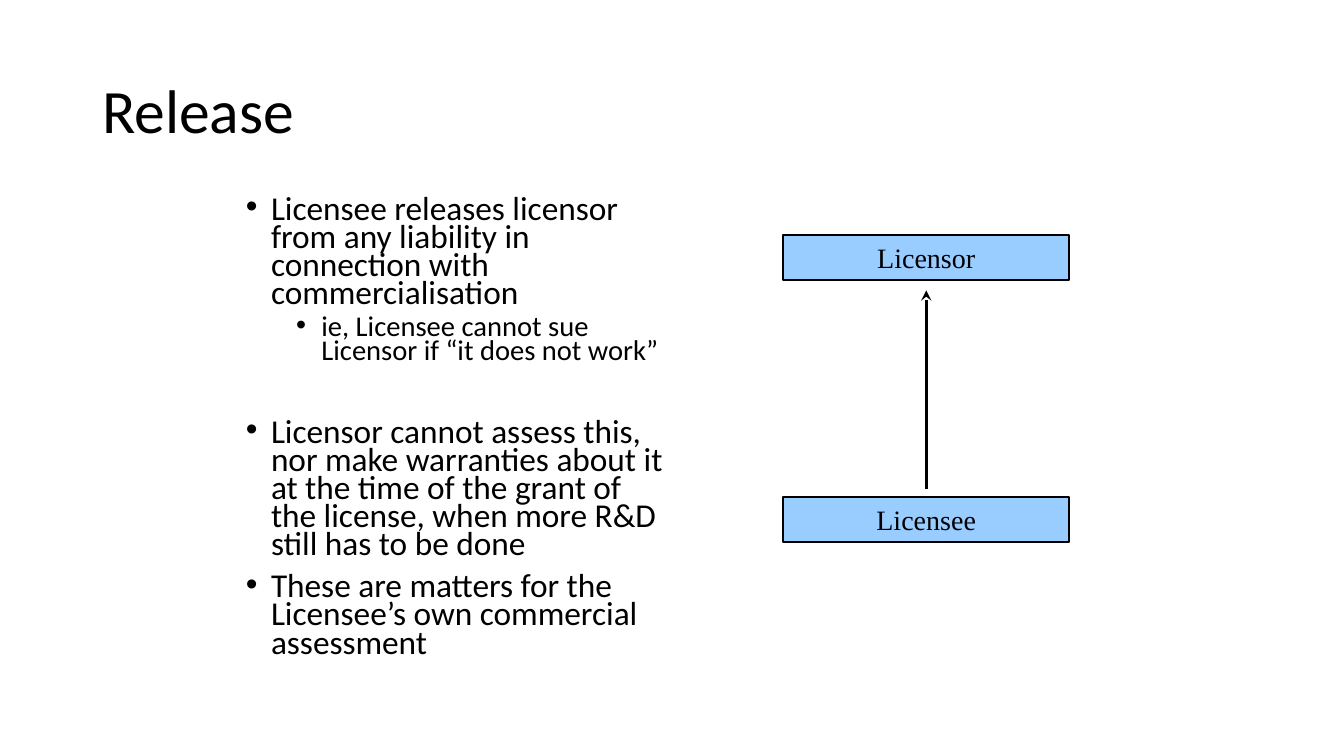
from lxml import etree
from pptx import Presentation
from pptx.dml.color import RGBColor
from pptx.enum.shapes import MSO_CONNECTOR, MSO_SHAPE
from pptx.enum.text import MSO_ANCHOR, PP_ALIGN
from pptx.oxml.ns import qn
from pptx.util import Pt

RECTANGLE = MSO_SHAPE.RECTANGLE
STRAIGHT = MSO_CONNECTOR.STRAIGHT
TOP, MIDDLE = MSO_ANCHOR.TOP, MSO_ANCHOR.MIDDLE
LEFT, CENTER = PP_ALIGN.LEFT, PP_ALIGN.CENTER

COLORS = {"ink": "000000", "party": "99CCFF"}
BODY_FONT, PARTY_FONT = "Calibri", "Times New Roman"

# Text, size, left margin, space before
BULLETS = [
    ("Licensee releases licensor from any liability in connection with "
     "commercialisation", 23.8, 18, 0),
    ("ie, Licensee cannot sue Licensor if “it does not work”", 20.4, 54, 5),
    ("Licensor cannot assess this, nor make warranties about it at the time "
     "of the grant of the license, when more R&D still has to be done",
     23.8, 18, 40),
    ("These are matters for the Licensee’s own commercial assessment",
     23.8, 18, 10),
]
BULLET_HANG = 18

PARTY_LEFT, PARTY_WIDTH, PARTY_HEIGHT = 559.4, 204.5, 32.4
PARTY_TOPS = {"Licensor": 167.8, "Licensee": 355}
ARROW_GAP_TOP, ARROW_GAP_BOTTOM = 7.2, 5.8


def color(name):
    return RGBColor.from_string(COLORS[name])


def write(para, text, size, font=BODY_FONT, align=LEFT, spacing=1.0,
          before=0, margin=None):
    """Fill a paragraph; a margin makes it a bullet with a hanging indent."""
    para.alignment = align
    para.line_spacing = spacing
    para.space_before = Pt(before)
    if margin is not None:
        properties = para._p.get_or_add_pPr()
        properties.set("marL", str(Pt(margin)))
        properties.set("indent", str(-Pt(BULLET_HANG)))
        typeface = etree.SubElement(properties, qn("a:buFont"))
        typeface.set("typeface", "Arial")
        etree.SubElement(properties, qn("a:buChar")).set("char", "•")
    span = para.add_run()
    span.text = text
    span.font.size = Pt(size)
    span.font.name = font
    span.font.color.rgb = color("ink")


class SlideBuilder:
    def __init__(self, page):
        self.shapes = page.shapes

    def text_box(self, left, top, width, height, anchor=TOP):
        box = self.shapes.add_textbox(Pt(left), Pt(top), Pt(width), Pt(height))
        box.text_frame.word_wrap = True
        box.text_frame.vertical_anchor = anchor
        return box.text_frame

    def title(self, text):
        frame = self.text_box(66, 28.8, 828, 104.4, MIDDLE)
        write(frame.paragraphs[0], text, 44, spacing=0.9)

    def bullets(self, items):
        frame = self.text_box(168.5, 138.2, 317.5, 358.6)
        for index, (text, size, margin, before) in enumerate(items):
            para = frame.add_paragraph() if index else frame.paragraphs[0]
            write(para, text, size, spacing=0.7, before=before, margin=margin)

    def party(self, name, top):
        box = self.shapes.add_shape(RECTANGLE, Pt(PARTY_LEFT), Pt(top),
                                    Pt(PARTY_WIDTH), Pt(PARTY_HEIGHT))
        box.shadow.inherit = False
        box.fill.solid()
        box.fill.fore_color.rgb = color("party")
        box.line.color.rgb = color("ink")
        box.line.width = Pt(1.5)
        box.text_frame.word_wrap = True
        box.text_frame.vertical_anchor = MIDDLE
        write(box.text_frame.paragraphs[0], name, 20, font=PARTY_FONT,
              align=CENTER)

    def arrow(self, x, start, end):
        arrow = self.shapes.add_connector(STRAIGHT, Pt(x), Pt(start),
                                          Pt(x), Pt(end))
        arrow.line.color.rgb = color("ink")
        arrow.line.width = Pt(2.5)
        outline = arrow.line._get_or_add_ln()
        etree.SubElement(outline, qn("a:tailEnd")).set("type", "stealth")
        etree.SubElement(arrow._element.spPr, qn("a:effectLst"))


def main():
    deck = Presentation()
    deck.slide_width, deck.slide_height = Pt(960), Pt(540)
    builder = SlideBuilder(deck.slides.add_slide(deck.slide_layouts[6]))
    builder.title("Release")
    builder.bullets(BULLETS)
    for name, top in PARTY_TOPS.items():
        builder.party(name, top)
    builder.arrow(PARTY_LEFT + PARTY_WIDTH / 2,
                  PARTY_TOPS["Licensee"] - ARROW_GAP_BOTTOM,
                  PARTY_TOPS["Licensor"] + PARTY_HEIGHT + ARROW_GAP_TOP)
    deck.save("out.pptx")


if __name__ == "__main__":
    main()
